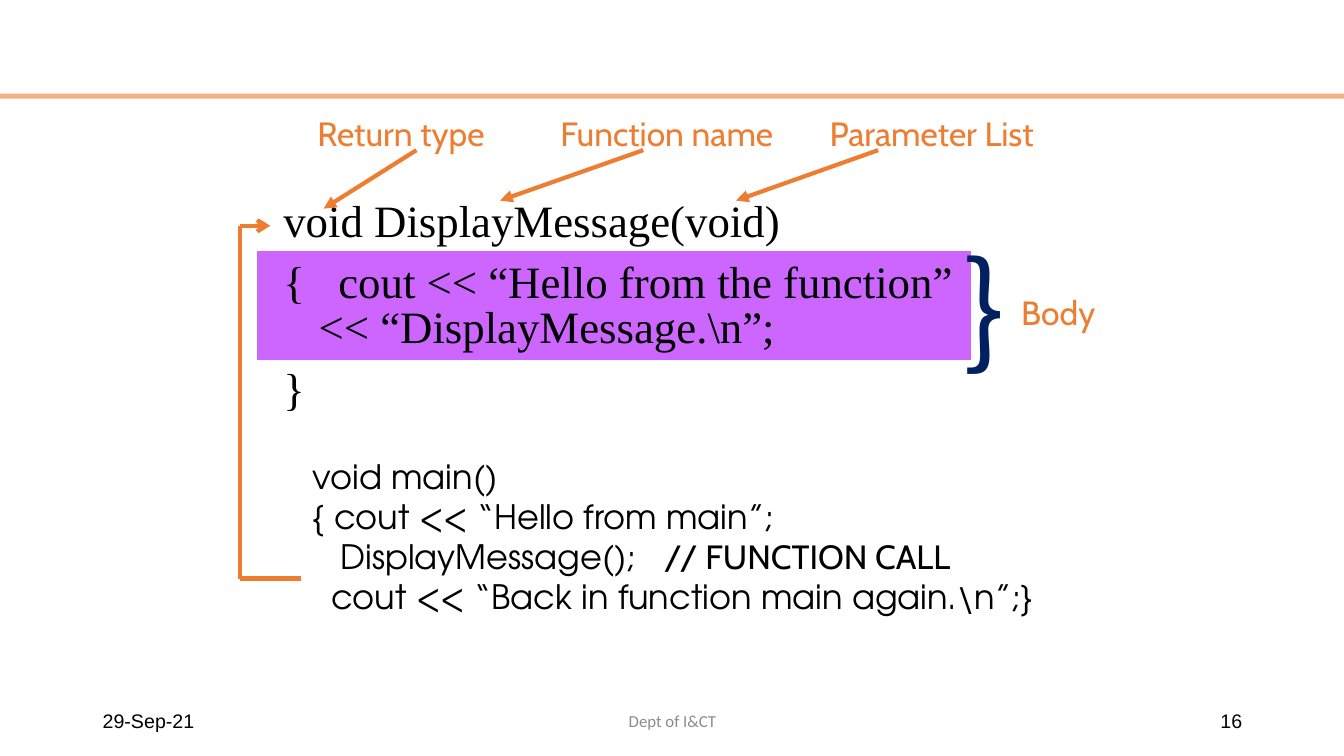
from dataclasses import dataclass
from typing import Optional

from lxml import etree
from pptx import Presentation
from pptx.dml.color import RGBColor
from pptx.enum import shapes, text
from pptx.oxml.ns import qn
from pptx.util import Inches, Pt

ORANGE = RGBColor(0xED, 0x7D, 0x31)
PEACH = RGBColor(0xF4, 0xB1, 0x83)
PURPLE = RGBColor(0xCC, 0x66, 0xFF)
NAVY = RGBColor(0x00, 0x20, 0x60)
BLACK = RGBColor(0x00, 0x00, 0x00)
GREY = RGBColor(0x8C, 0x8C, 0x8C)


@dataclass
class CodeLine:
    code: str
    spacing: float = 1.0
    hanging: float = 0.0
    comment: str = ""


@dataclass
class Label:
    wording: str
    left: float
    top: float
    width: float
    height: float
    font: str = "Cabin"
    size: int = 24
    color: RGBColor = ORANGE
    align: text.PP_ALIGN = text.PP_ALIGN.LEFT
    anchor: text.MSO_ANCHOR = text.MSO_ANCHOR.TOP


@dataclass
class Stroke:
    x1: float
    y1: float
    x2: float
    y2: float
    head: Optional[str] = None


def write(frame, lines: list[CodeLine], *, font: str, size: int, color: RGBColor,
          align=text.PP_ALIGN.LEFT, anchor=text.MSO_ANCHOR.TOP) -> None:
    frame.word_wrap = True
    frame.auto_size = text.MSO_AUTO_SIZE.NONE
    frame.vertical_anchor = anchor
    for index, line in enumerate(lines):
        paragraph = frame.paragraphs[0] if index == 0 else frame.add_paragraph()
        # Plain paragraph with an optional hanging indent
        properties = paragraph._p.get_or_add_pPr()
        properties.set("marL", str(Inches(line.hanging)))
        properties.set("indent", str(-Inches(line.hanging)))
        before = etree.SubElement(properties, qn("a:spcBef"))
        etree.SubElement(before, qn("a:spcPct"), val="35000" if index else "0")
        etree.SubElement(properties, qn("a:buNone"))
        paragraph.line_spacing = line.spacing
        paragraph.alignment = align
        for number, part in enumerate(line.code.split("\n")):
            if number:
                paragraph.add_line_break()
            paragraph.add_run().text = part
        if line.comment:
            paragraph.add_run().text = line.comment
        for run in paragraph.runs:
            run.font.name = "Cabin" if run.text == line.comment else font
            run.font.size = Pt(size)
            run.font.color.rgb = color


def place(shape, left: float, top: float, width: float, height: float) -> None:
    shape.left, shape.top = Inches(left), Inches(top)
    shape.width, shape.height = Inches(width), Inches(height)


def add_label(slide, label: Label) -> None:
    box = slide.shapes.add_textbox(Inches(label.left), Inches(label.top),
                                   Inches(label.width), Inches(label.height))
    write(box.text_frame, [CodeLine(label.wording)], font=label.font, size=label.size,
          color=label.color, align=label.align, anchor=label.anchor)


def add_band(slide, left: float, top: float, width: float, height: float, color: RGBColor) -> None:
    band = slide.shapes.add_shape(shapes.MSO_SHAPE.RECTANGLE, Inches(left), Inches(top),
                                  Inches(width), Inches(height))
    band.shadow.inherit = False
    band.fill.solid()
    band.fill.fore_color.rgb = color
    band.line.fill.background()
    # Bands lie behind the code
    slide.shapes.element.insert(2, band._element)


def add_stroke(slide, stroke: Stroke) -> None:
    connector = slide.shapes.add_connector(
        shapes.MSO_CONNECTOR.STRAIGHT, Inches(stroke.x1), Inches(stroke.y1),
        Inches(stroke.x2), Inches(stroke.y2))
    connector.line.color.rgb = ORANGE
    connector.line.width = Pt(3)
    if stroke.head:
        etree.SubElement(connector.line._get_or_add_ln(), qn("a:tailEnd"), type=stroke.head)
    etree.SubElement(connector._element.spPr, qn("a:effectLst"))


FUNCTION_CODE = [
    CodeLine("void DisplayMessage(void)", 0.75),
    CodeLine("{   cout << “Hello from the function”\n<< “DisplayMessage.\\n”;", 0.85, hanging=0.35),
    CodeLine("}", 0.85),
]
MAIN_CODE = [
    CodeLine("void main()", 0.7),
    CodeLine("{ cout << “Hello from main”;", 0.7),
    CodeLine("   DisplayMessage();   ", 0.7, comment="// FUNCTION CALL"),
    CodeLine("  cout << “Back in function main again.\\n”;}", 0.7),
]
FOOTER_TOP, FOOTER_HEIGHT = 6.95, 0.4
MIDDLE = text.MSO_ANCHOR.MIDDLE
LABELS = [
    Label("Return type", 3.05, 1.07, 2.58, 0.51),
    Label("Function name", 5.46, 1.07, 2.58, 0.51),
    Label("Parameter List", 8.13, 1.07, 2.75, 0.51),
    Label("Body", 10.03, 2.85, 1.11, 0.51),
    Label("}", 9.46, 2.24, 0.92, 1.58, "Noto Sans CJK JP", 88, NAVY),
    Label("29-Sep-21", 0.92, FOOTER_TOP, 3, FOOTER_HEIGHT, "Arial", 14, BLACK, anchor=MIDDLE),
    Label("Dept of I&CT", 4.42, FOOTER_TOP, 4.5, FOOTER_HEIGHT, "Calibri", 12, GREY,
          text.PP_ALIGN.CENTER, MIDDLE),
    Label("16", 9.42, FOOTER_TOP, 3, FOOTER_HEIGHT, "Arial", 14, BLACK,
          text.PP_ALIGN.RIGHT, MIDDLE),
]
STROKES = [
    # From the call in main back up to the function
    Stroke(2.99, 5.74, 2.38, 5.74),
    Stroke(2.38, 5.74, 2.38, 2.24),
    Stroke(2.38, 2.24, 2.68, 2.24, "arrow"),
    # From the labels to the parts of the header
    Stroke(4.13, 1.49, 3.21, 2.07, "triangle"),
    Stroke(6.38, 1.49, 4.96, 1.99, "triangle"),
    Stroke(8.71, 1.49, 7.3, 1.99, "triangle"),
]


def main() -> None:
    deck = Presentation()
    deck.slide_width, deck.slide_height = Inches(13.33), Inches(7.5)
    slide = deck.slides.add_slide(deck.slide_layouts[3])
    heading, function_body, main_body = slide.placeholders
    heading._element.getparent().remove(heading._element)

    # Code listings
    place(function_body, 2.71, 1.99, 8.21, 2.26)
    write(function_body.text_frame, FUNCTION_CODE, font="Times New Roman", size=32, color=BLACK)
    place(main_body, 3, 4.58, 8.67, 1.66)
    write(main_body.text_frame, MAIN_CODE, font="TeX Gyre Adventor", size=24, color=BLACK)

    # Header rule and highlight of the function body
    add_band(slide, 0, 0.93, 13.33, 0.05, PEACH)
    add_band(slide, 2.55, 2.49, 7.08, 1.08, PURPLE)

    # Arrows, labels and footer
    for stroke in STROKES:
        add_stroke(slide, stroke)
    for label in LABELS:
        add_label(slide, label)

    deck.save("out.pptx")


if __name__ == "__main__":
    main()
